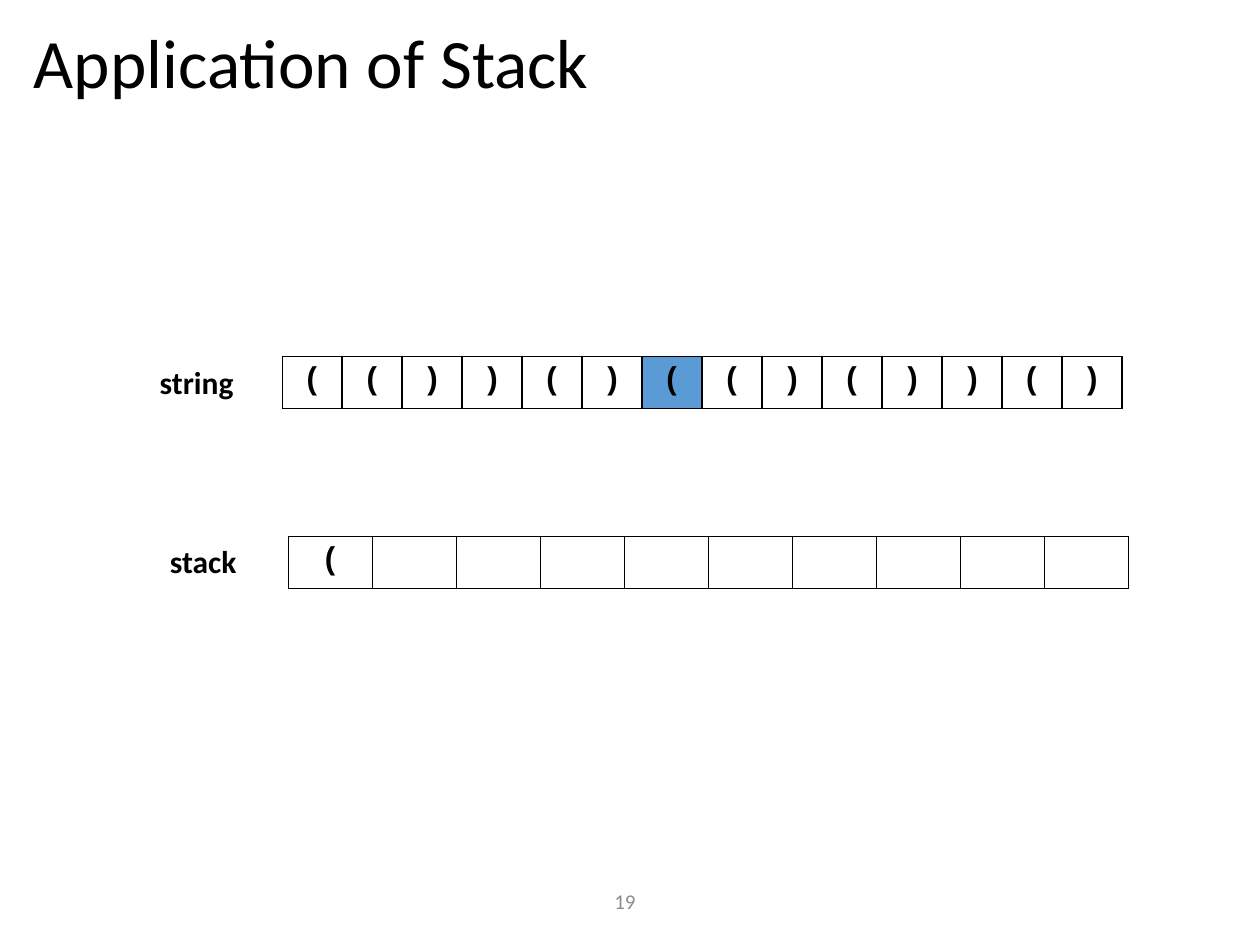
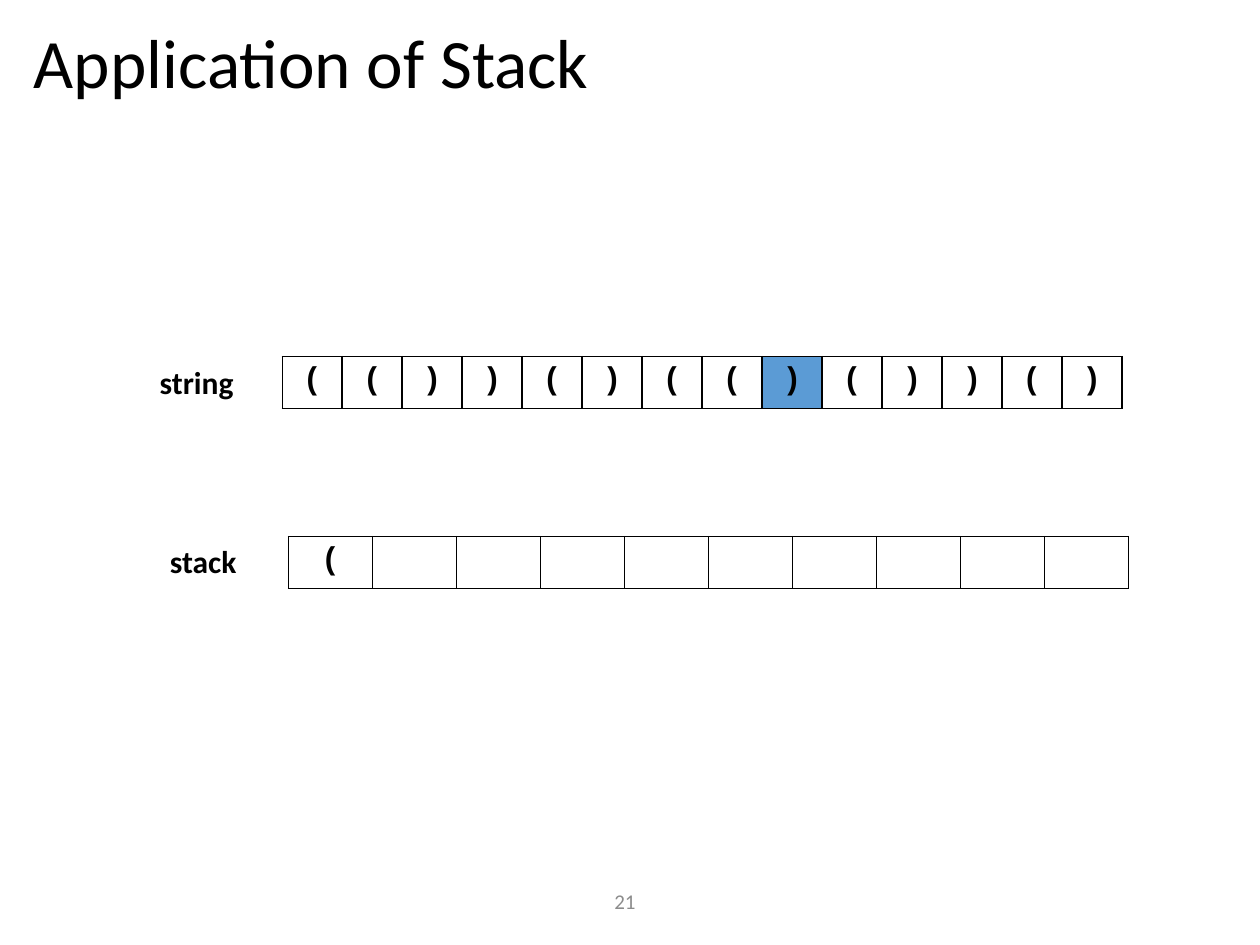
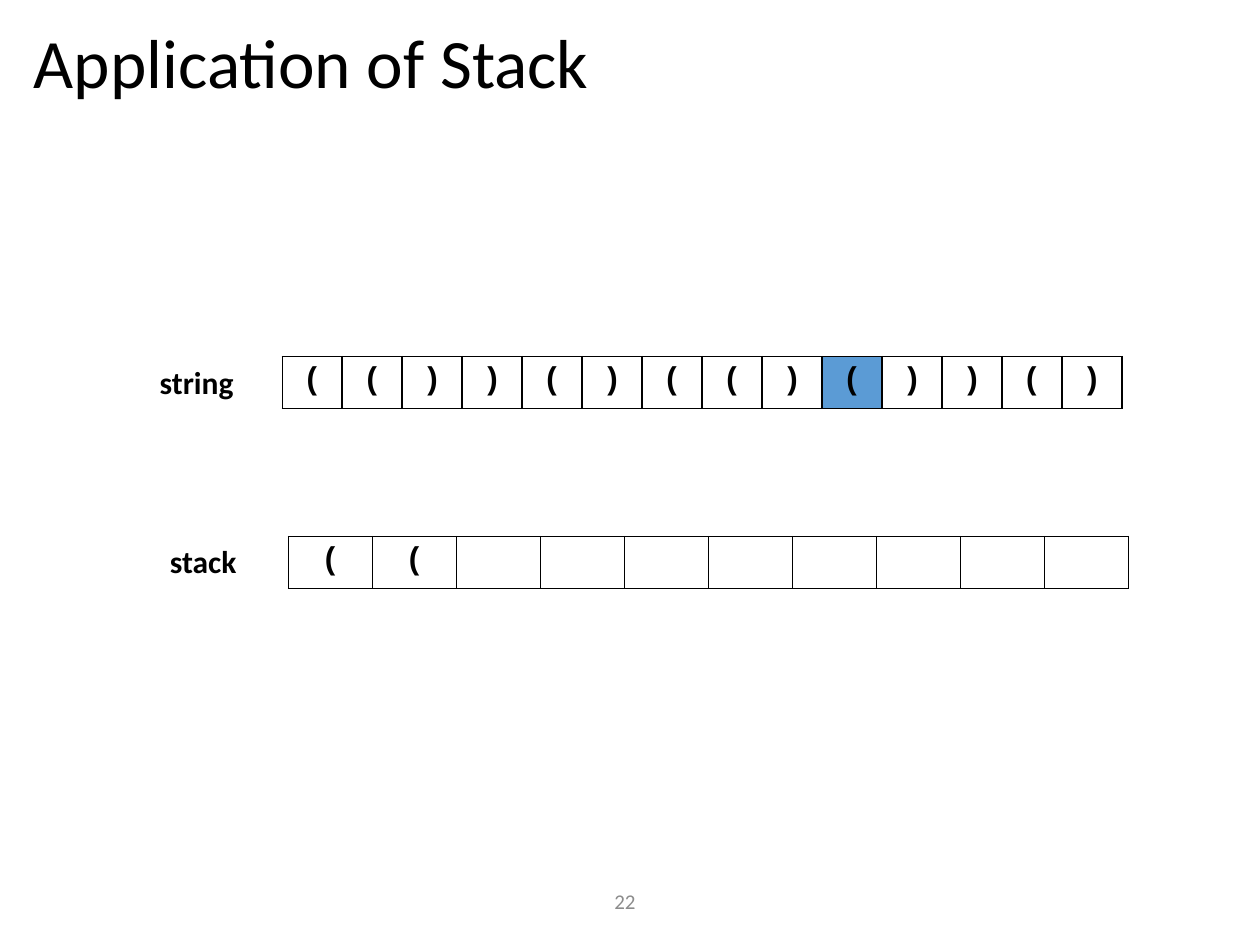
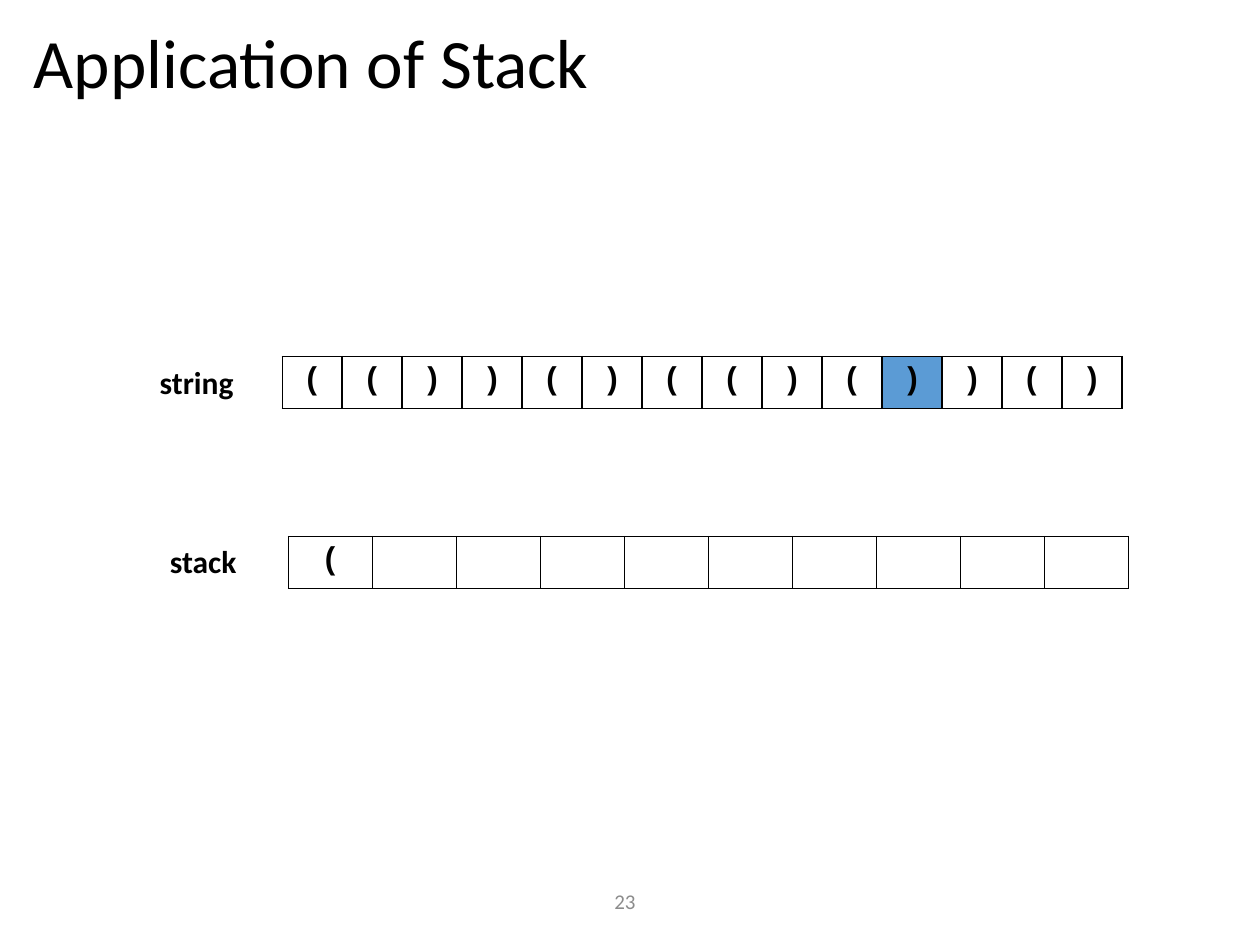
from dataclasses import dataclass

from lxml.etree import SubElement
from pptx import Presentation
from pptx.dml.color import RGBColor as Color
from pptx.enum.text import MSO_ANCHOR as Anchor, MSO_AUTO_SIZE as AutoSize, PP_ALIGN as Align
from pptx.oxml.ns import qn
from pptx.util import Pt


@dataclass(frozen=True)
class Theme:
    ink: str = "000000"
    muted: str = "8C8C8C"
    highlight: str = "5B9BD5"
    sans: str = "Calibri"
    mono: str = "Courier New"
    title_size: float = 39.6
    body_size: float = 18
    footer_size: float = 12
    border: float = 1


theme = Theme()

BRACKETS = "(())()(()())()"
STACK_SIZE = 10
TABLE_WIDTH, ROW_HEIGHT = 480, 29.5
# Page number and index of the bracket being read
STEPS = [(19, 6), (21, 8), (22, 9), (23, 10)]


def write(frame, text, size, font=theme.sans, color=theme.ink, bold=False, align=Align.LEFT):
    para = frame.paragraphs[0]
    para.alignment = align
    span = para.add_run()
    span.text = text
    span.font.name = font
    span.font.size = Pt(size)
    span.font.bold = bold
    span.font.color.rgb = Color.from_string(color)
    return para


def add_row(page, left, top, symbols, current=None):
    column_width = Pt(TABLE_WIDTH / len(symbols))
    table = page.shapes.add_table(
        1, len(symbols), Pt(left), Pt(top), Pt(TABLE_WIDTH), Pt(ROW_HEIGHT)).table
    table.first_row = table.horz_banding = False
    for index, symbol in enumerate(symbols):
        table.columns[index].width = column_width
        cell = table.cell(0, index)
        properties = cell._tc.get_or_add_tcPr()
        for side in ("a:lnL", "a:lnR", "a:lnT", "a:lnB"):
            line = SubElement(properties, qn(side), w=str(Pt(theme.border)))
            SubElement(SubElement(line, qn("a:solidFill")), qn("a:srgbClr"), val=theme.ink)
        if index == current:
            cell.fill.solid()
            cell.fill.fore_color.rgb = Color.from_string(theme.highlight)
        else:
            cell.fill.background()
        if symbol:
            write(cell.text_frame, symbol, theme.body_size, theme.mono, bold=True,
                  align=Align.CENTER)


deck = Presentation()
deck.slide_width, deck.slide_height = Pt(720), Pt(540)

for number, current in STEPS:
    page = deck.slides.add_slide(deck.slide_layouts[5])

    # Title
    title = page.shapes.title
    title.left, title.top, title.width, title.height = Pt(12.2), Pt(13), Pt(692.6), Pt(53.3)
    title.text_frame.vertical_anchor = Anchor.TOP
    title.text_frame.auto_size = AutoSize.NONE
    write(title.text_frame, "Application of Stack", theme.title_size).line_spacing = 0.9

    # Page number
    footer = page.shapes.add_textbox(Pt(188.6), Pt(500.4), Pt(337), Pt(28.8)).text_frame
    footer.word_wrap = True
    footer.vertical_anchor = Anchor.MIDDLE
    write(footer, str(number), theme.footer_size, color=theme.muted, align=Align.CENTER)

    # Stack after the current bracket, then the string being read
    seen = BRACKETS[:current + 1]
    depth = seen.count("(") - seen.count(")")
    stack = ["("] * depth + [""] * (STACK_SIZE - depth)
    add_row(page, 164.9, 306.7, stack)
    add_row(page, 161.3, 203.8, BRACKETS, current)

    # Row labels
    for label, left, top, width in (("stack", 90, 306, 64), ("string", 84.2, 203.8, 67)):
        box = page.shapes.add_textbox(Pt(left), Pt(top), Pt(width), Pt(28.8))
        box.text_frame.word_wrap = True
        box.text_frame.auto_size = AutoSize.SHAPE_TO_FIT_TEXT
        write(box.text_frame, label, theme.body_size, bold=True)

deck.save("out.pptx")
